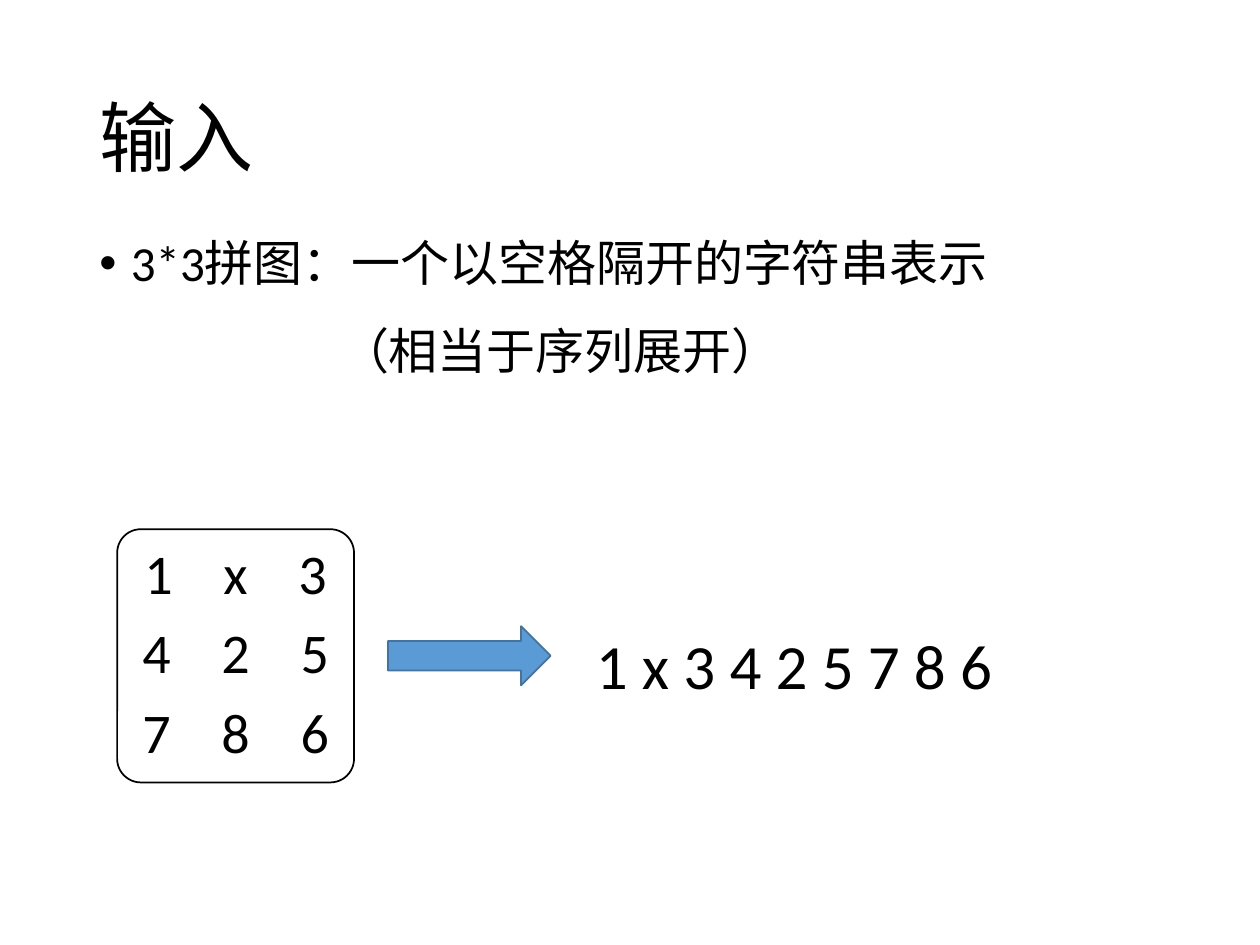
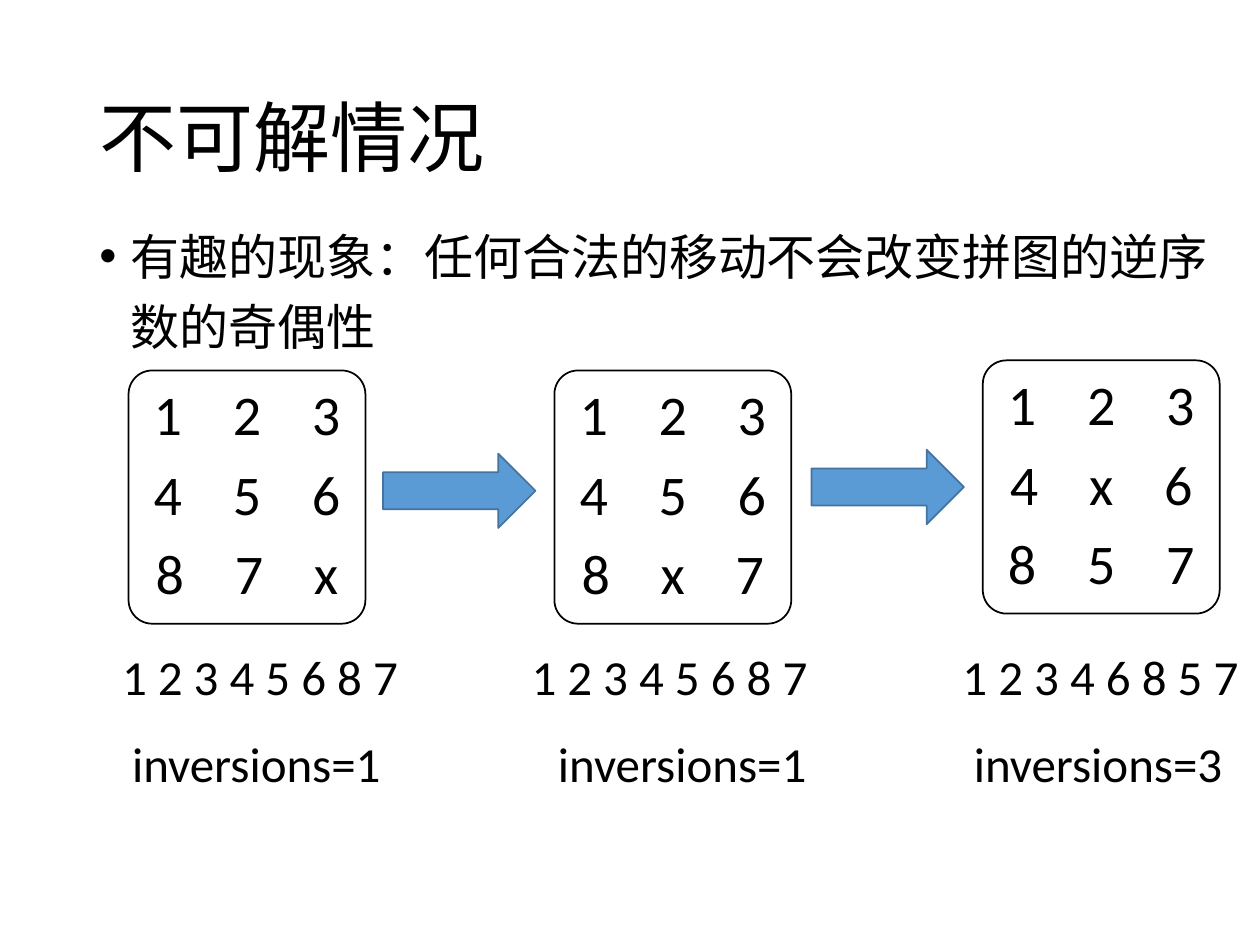
from dataclasses import dataclass

from lxml import etree
from pptx import Presentation, util as u
from pptx.dml.color import RGBColor
from pptx.enum import shapes as kinds, text as t
from pptx.oxml import ns

COLORS = {"ink": "000000", "paper": "FFFFFF", "arrow": "5B9BD5", "arrow_edge": "43739E"}
FONT = "Calibri"

# The grid has 100 columns and 75 rows
presentation = Presentation()
presentation.slide_width, presentation.slide_height = u.Inches(10), u.Inches(7.5)
COLUMN = presentation.slide_width / 100
ROW = presentation.slide_height / 75

CARD_WIDTH, CARD_HEIGHT, CARD_INSET = 18.8, 20.1, 1.3
DIGIT_GAP = 21.7  # points added to the space between two digits


@dataclass
class Area:
    """Place on the grid, in columns and rows."""
    left: float
    top: float
    width: float
    height: float

    def box(self) -> list[u.Emu]:
        lengths = (self.left * COLUMN, self.top * ROW, self.width * COLUMN, self.height * ROW)
        return [u.Emu(round(length)) for length in lengths]


@dataclass
class Line:
    """One paragraph; the indent is in columns, the gap widens its spaces."""
    words: str
    size: float = 28
    bullet: bool = False
    indent: float = 0
    gap: float = 0
    align: t.PP_ALIGN = t.PP_ALIGN.LEFT
    spacing: float | u.Length | None = None
    before: float = 0
    after: float = 0

    def pieces(self) -> list[str]:
        return self.words.replace(" ", "| |").split("|") if self.gap else [self.words]


@dataclass
class Card:
    """A 3 by 3 puzzle, its rows given as strings."""
    left: float
    top: float
    rows: tuple


@dataclass
class Caption:
    """A sequence and its number of inversions, set in by its own indent."""
    left: float
    sequence: str
    inversions: int
    indent: float


def color(name: str) -> RGBColor:
    return RGBColor.from_string(COLORS[name])


def write(frame, lines: list[Line], anchor=t.MSO_ANCHOR.TOP) -> None:
    frame.word_wrap = True
    frame.vertical_anchor = anchor
    for index, line in enumerate(lines):
        paragraph = frame.paragraphs[0] if index == 0 else frame.add_paragraph()
        paragraph.alignment = line.align
        paragraph.line_spacing = line.spacing
        paragraph.space_before = u.Pt(line.before)
        paragraph.space_after = u.Pt(line.after)
        for piece in line.pieces():
            run = paragraph.add_run()
            run.text = piece
            run.font.size, run.font.name = u.Pt(line.size), FONT
            run.font.color.rgb = color("ink")
            if piece == " ":
                run._r.get_or_add_rPr().set("spc", str(round(line.gap * 100)))
        # Indents and bullets
        properties = paragraph._p.get_or_add_pPr()
        properties.set("marL", str(round(line.indent * COLUMN)))
        properties.set("indent", str(round(-line.indent * COLUMN) if line.bullet else 0))
        if line.bullet:
            etree.SubElement(properties, ns.qn("a:buFont"), typeface="Arial")
            etree.SubElement(properties, ns.qn("a:buChar"), char="•")


def add_text(slide, area: Area, lines: list[Line], anchor=t.MSO_ANCHOR.TOP) -> None:
    write(slide.shapes.add_textbox(*area.box()).text_frame, lines, anchor)


def body_line(words: str, **settings) -> Line:
    return Line(words, spacing=u.Pt(40), before=10, **settings)


def add_slide(title: str):
    slide = presentation.slides.add_slide(presentation.slide_layouts[6])
    slide.background.fill.solid()
    slide.background.fill.fore_color.rgb = color("paper")
    add_text(slide, Area(6.9, 4, 86.2, 14.5), [Line(title, 44, spacing=0.9)],
             t.MSO_ANCHOR.MIDDLE)
    return slide


def add_shape(slide, kind, area: Area, edge: str):
    shape = slide.shapes.add_shape(kind, *area.box())
    shape.shadow.inherit = False
    shape.line.color.rgb, shape.line.width = color(edge), u.Pt(1)
    return shape


def add_card(slide, card: Card) -> None:
    shape = add_shape(slide, kinds.MSO_SHAPE.ROUNDED_RECTANGLE,
                      Area(card.left, card.top, CARD_WIDTH, CARD_HEIGHT), "ink")
    shape.adjustments[0] = 0.1
    shape.fill.background()
    frame = shape.text_frame
    frame.margin_left = frame.margin_right = u.Emu(round(CARD_INSET * COLUMN))
    frame.margin_top = frame.margin_bottom = u.Emu(round(CARD_INSET * ROW))
    lines = [Line(" ".join(row), 32, gap=DIGIT_GAP, align=t.PP_ALIGN.CENTER,
                  spacing=0.9, after=11) for row in card.rows]
    write(frame, lines, t.MSO_ANCHOR.MIDDLE)


def add_arrow(slide, area: Area) -> None:
    shape = add_shape(slide, kinds.MSO_SHAPE.RIGHT_ARROW, area, "arrow_edge")
    shape.fill.solid()
    shape.fill.fore_color.rgb = color("arrow")


# Slide 1: input
slide = add_slide("输入")
add_text(slide, Area(6.9, 17.1, 86.2, 50.4), [
    body_line("3*3拼图：一个以空格隔开的字符串表示", bullet=True, indent=2.5),
    body_line("（相当于序列展开）", indent=19.1),
])
add_card(slide, Card(9.3, 42, ("1x3", "425", "786")))
add_arrow(slide, Area(30.8, 49.7, 12.9, 4.7))
add_text(slide, Area(46.3, 49.2, 35.9, 7.1), [Line("1 x 3 4 2 5 7 8 6", 36)])

# Slide 2: unsolvable case
slide = add_slide("不可解情况")
add_text(slide, Area(6.9, 16.6, 93.1, 14), [
    body_line("有趣的现象：任何合法的移动不会改变拼图的逆序数的奇偶性", bullet=True, indent=2.5),
])
for caption in (Caption(8.7, "1 2 3 4 5 6 8 7", 1, 0.8),
                Caption(41.2, "1 2 3 4 5 6 8 7", 1, 2.1),
                Caption(75.4, "1 2 3 4 6 8 5 7", 3, 0.9)):
    add_text(slide, Area(caption.left, 49.9, 24.5, 15), [
        body_line(caption.sequence),
        body_line(f"inversions={caption.inversions}", indent=caption.indent),
    ])
for card in (Card(10.2, 29.4, ("123", "456", "87x")),
             Card(44, 29.4, ("123", "456", "8x7")),
             Card(78, 28.6, ("123", "4x6", "857"))):
    add_card(slide, card)
for left, top in ((30.4, 36), (64.4, 35.7)):
    add_arrow(slide, Area(left, top, 12.1, 5.9))

presentation.save("out.pptx")
